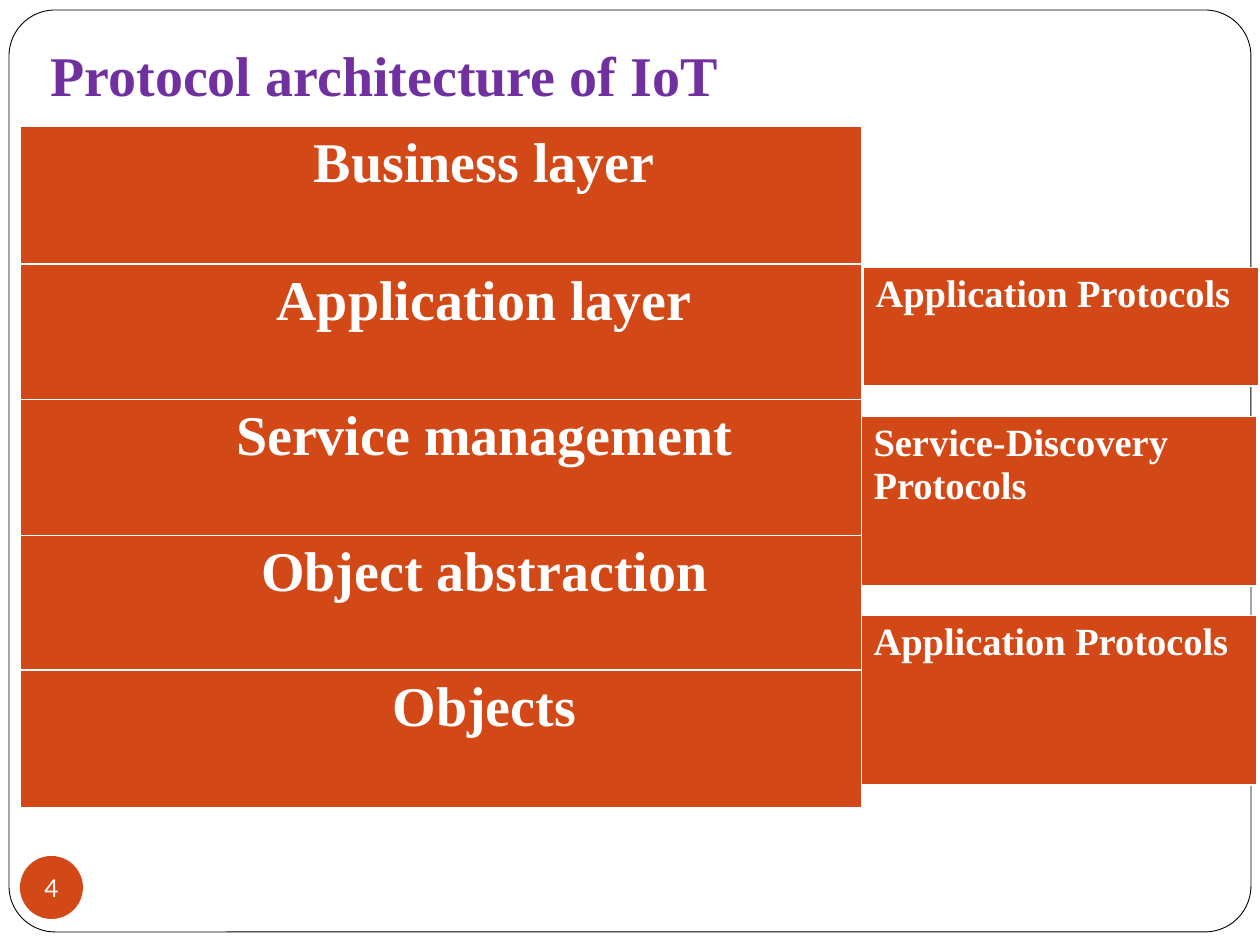
from lxml import etree
from pptx import Presentation
from pptx.dml.color import RGBColor
from pptx.enum.shapes import MSO_SHAPE
from pptx.enum.text import MSO_ANCHOR, PP_ALIGN
from pptx.oxml.ns import qn
from pptx.util import Emu, Pt

ORANGE, WHITE = "D34817", "FFFFFF"
SERIF = "Times New Roman"
THIN, THICK = 0.45, 1.47


def px(n):
    return Emu(round(n * 914400 / 126))


def rgb(color):
    return RGBColor.from_string(color)


def write(tf, text, size=32, font=SERIF, color=WHITE, bold=True, align=PP_ALIGN.LEFT):
    tf.word_wrap = True
    p = tf.paragraphs[0]
    p.alignment = align
    r = p.add_run()
    r.text = text
    r.font.size = Pt(size)
    r.font.name = font
    r.font.bold = bold
    r.font.color.rgb = rgb(color)
    return p


prs = Presentation()
prs.slide_width, prs.slide_height = px(1260), px(945)
s = prs.slides.add_slide(prs.slide_layouts[6])

frame = s.shapes.add_shape(MSO_SHAPE.ROUNDED_RECTANGLE, px(9), px(10), px(1242), px(922))
frame.adjustments[0] = 0.05
frame.shadow.inherit = False
frame.fill.solid()
frame.fill.fore_color.rgb = rgb(WHITE)
frame.line.color.rgb = rgb("000000")
frame.line.width = Pt(0.5)

badge = s.shapes.add_shape(MSO_SHAPE.OVAL, px(20), px(856), px(63), px(63))
badge.shadow.inherit = False
badge.fill.solid()
badge.fill.fore_color.rgb = rgb(ORANGE)
badge.line.fill.background()
tf = badge.text_frame
tf.margin_left = tf.margin_right = tf.margin_top = tf.margin_bottom = 0
tf.vertical_anchor = MSO_ANCHOR.MIDDLE
write(tf, "4", size=14, font="Lato", bold=False, align=PP_ALIGN.CENTER)
tf.word_wrap = False

title = s.shapes.add_textbox(px(38), px(26), px(1198), px(888))
title.text_frame.margin_top = px(15)
write(title.text_frame, "Protocol architecture of IoT", color="7030A0")

layers = [
    ("Business layer", 138, THIN, THICK),
    ("Application layer", 135, THICK, THIN),
    ("Service management", 136, THIN, THIN),
    ("Object abstraction", 135, THIN, THICK),
    ("Objects", 138, THICK, THIN),
]
tables = [
    (20, 126, 841, 32, PP_ALIGN.CENTER, 88, layers),
    (861, 615, 395, 22, PP_ALIGN.LEFT, 0, [("Application Protocols", 170, THIN, THICK)]),
    (861, 416, 395, 22, PP_ALIGN.LEFT, 0, [("Service-Discovery Protocols", 170, THIN, THICK)]),
    (863, 267, 395, 22, PP_ALIGN.LEFT, 0, [("Application Protocols", 119, THIN, THICK)]),
]
for left, top, width, size, align, indent, rows in tables:
    height = sum(row[1] for row in rows)
    table = s.shapes.add_table(len(rows), 1, px(left), px(top), px(width), px(height)).table
    for i, (text, row_height, upper, lower) in enumerate(rows):
        table.rows[i].height = px(row_height)
        cell = table.cell(i, 0)
        p = write(cell.text_frame, text, size=size, align=align)
        if indent:
            p._p.get_or_add_pPr().set("marL", str(px(indent)))
        tcPr = cell._tc.get_or_add_tcPr()
        for side, weight in (("L", THIN), ("R", THIN), ("T", upper), ("B", lower)):
            ln = etree.SubElement(tcPr, qn(f"a:ln{side}"), w=str(Pt(weight)))
            fill = etree.SubElement(ln, qn("a:solidFill"))
            etree.SubElement(fill, qn("a:srgbClr"), val=WHITE)
        cell.fill.solid()
        cell.fill.fore_color.rgb = rgb(ORANGE)

prs.save("out.pptx")
